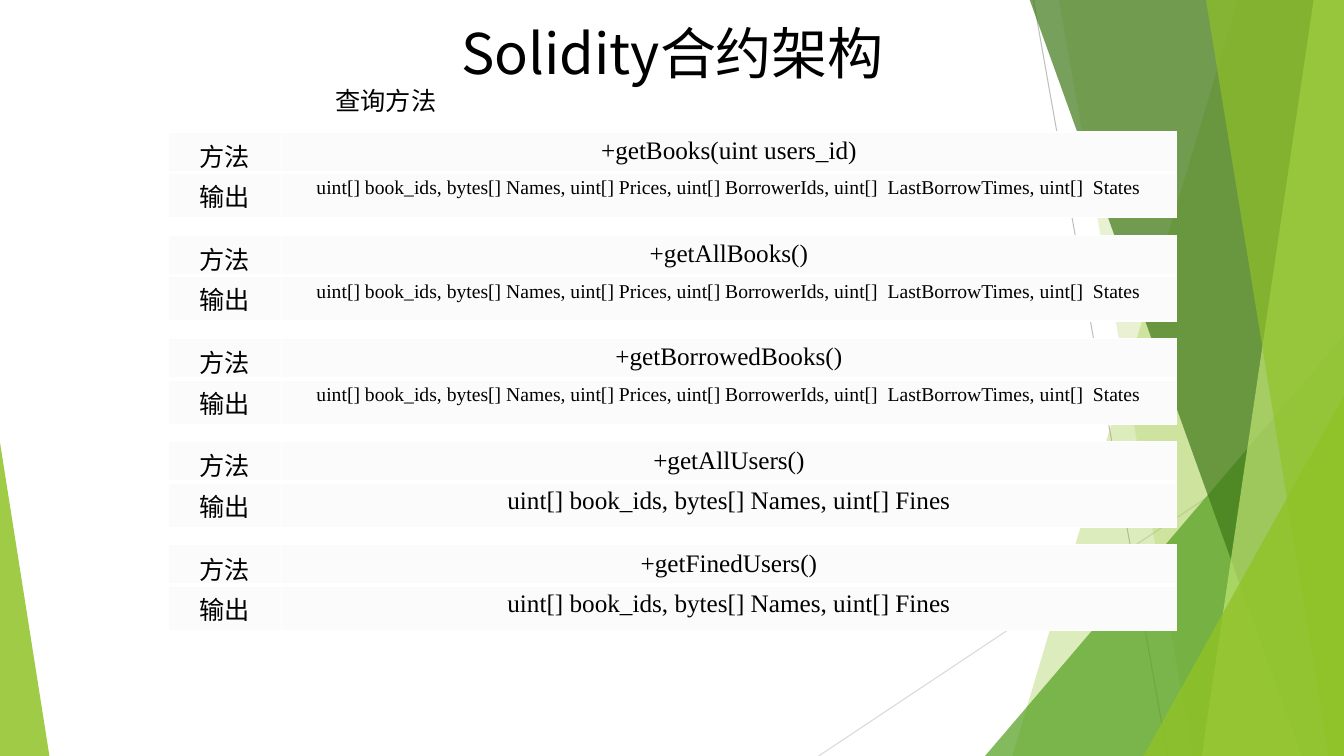
from lxml import etree
from pptx import Presentation
from pptx.dml.color import RGBColor
from pptx.enum.shapes import MSO_CONNECTOR, MSO_SHAPE
from pptx.enum.text import MSO_AUTO_SIZE, PP_ALIGN
from pptx.oxml.ns import qn
from pptx.util import Inches, Pt

STRAIGHT = MSO_CONNECTOR.STRAIGHT
TRIANGLE = MSO_SHAPE.ISOSCELES_TRIANGLE
CENTER, LEFT = PP_ALIGN.CENTER, PP_ALIGN.LEFT
WIDTH, HEIGHT = 13.33, 7.5
CJK_FONT, TABLE_FONT = "Noto Sans CJK SC", "Times New Roman"
BLACK, WHITE, CELL_FILL = "000000", "FFFFFF", "FBFBFB"

HEADING = [("Solidity合约架构", 40, CENTER), ("查询方法", 18, LEFT)]
BOOK_OUTPUT = ("uint[] book_ids, bytes[] Names, uint[] Prices, uint[] BorrowerIds, "
               "uint[]  LastBorrowTimes, uint[]  States", 14)
USER_OUTPUT = ("uint[] book_ids, bytes[] Names, uint[] Fines", 18)
METHODS = [
    ("+getBooks(uint users_id)", BOOK_OUTPUT),
    ("+getAllBooks()", BOOK_OUTPUT),
    ("+getBorrowedBooks()", BOOK_OUTPUT),
    ("+getAllUsers()", USER_OUTPUT),
    ("+getFinedUsers()", USER_OUTPUT),
]
TABLE_LEFT, TABLE_TOP, TABLE_PITCH = 1.67, 1.31, 1.0235
COLUMNS, ROWS = (1.12, 8.88), (0.4, 0.45)

THIN_LINES = [((10.25, 0), (11.58, HEIGHT), "BFBFBF"),
              ((WIDTH, 4.03), (8.12, HEIGHT), "D9D9D9")]
# Panels reach the right edge: (top left x, bottom left x, colour, opacity %)
BACK_PANELS = [(12.28, 10.04, "90C226", 30), (10.5, 11.83, "90C226", 20)]
FRONT_PANELS = [(10.21, 12.91, "3F7819", 70), (13.03, 11.92, "C0E474", 70),
                (11.96, 13.18, "90C226", 65)]
# Triangles stand on the bottom edge: (left, width, height, apex, colour, opacity %)
MIDDLE_TRIANGLE = (9.77, 3.56, 4.17, 1, "54A021", 72)
FRONT_TRIANGLES = [(11.34, 1.99, 3.57, 1, "90C226", 80),
                   (0, 0.49, 3.11, 0, "90C226", 85)]


def color(hex_value):
    return RGBColor.from_string(hex_value)


def paint(shape, hex_value, opacity):
    shape.shadow.inherit = False
    shape.line.fill.background()
    shape.fill.solid()
    shape.fill.fore_color.rgb = color(hex_value)
    tint = shape.fill._xPr.find(".//" + qn("a:srgbClr"))
    etree.SubElement(tint, qn("a:alpha"), val=str(opacity * 1000))


def add_panel(slide, top_x, bottom_x, hex_value, opacity):
    corners = [(top_x, -0.01), (WIDTH, -0.01), (WIDTH, HEIGHT), (bottom_x, HEIGHT)]
    points = [(Inches(x), Inches(y)) for x, y in corners]
    builder = slide.shapes.build_freeform(*points[0])
    builder.add_line_segments(points[1:], close=True)
    paint(builder.convert_to_shape(), hex_value, opacity)


def add_triangle(slide, left, width, height, apex, hex_value, opacity):
    shape = slide.shapes.add_shape(TRIANGLE, Inches(left), Inches(HEIGHT - height),
                                   Inches(width), Inches(height))
    shape.adjustments[0] = apex
    paint(shape, hex_value, opacity)


def add_thin_line(slide, start, end, hex_value):
    line = slide.shapes.add_connector(STRAIGHT, *map(Inches, start + end))
    line.line.color.rgb = color(hex_value)
    line.line.width = Pt(0.75)
    etree.SubElement(line._element.spPr, qn("a:effectLst"))


def write(paragraph, text, size, font, alignment):
    paragraph.alignment = alignment
    run = paragraph.add_run()
    run.text = text
    run.font.size = Pt(size)
    run.font.name = font
    run.font.color.rgb = color(BLACK)
    if font == CJK_FONT:
        etree.SubElement(run._r.get_or_add_rPr(), qn("a:ea"), typeface=font)


def set_borders(cell, bottom_width):
    properties = cell._tc.get_or_add_tcPr()
    for index, side in enumerate(("lnL", "lnR", "lnT", "lnB")):
        width = bottom_width if side == "lnB" else 1
        border = etree.Element(qn("a:" + side), w=str(Pt(width)))
        fill = etree.SubElement(border, qn("a:solidFill"))
        etree.SubElement(fill, qn("a:srgbClr"), val=WHITE)
        properties.insert(index, border)


def add_heading(slide):
    box = slide.shapes.add_textbox(Inches(3.23), Inches(0.13), Inches(6.88), Inches(1.11))
    frame = box.text_frame
    frame.word_wrap = True
    frame.auto_size = MSO_AUTO_SIZE.SHAPE_TO_FIT_TEXT
    for index, (text, size, alignment) in enumerate(HEADING):
        paragraph = frame.add_paragraph() if index else frame.paragraphs[0]
        write(paragraph, text, size, CJK_FONT, alignment)


def add_method_table(slide, top, method, output):
    table = slide.shapes.add_table(len(ROWS), len(COLUMNS), Inches(TABLE_LEFT), Inches(top),
                                   Inches(sum(COLUMNS)), Inches(sum(ROWS))).table
    for column, width in zip(table.columns, COLUMNS):
        column.width = Inches(width)
    for row, height in zip(table.rows, ROWS):
        row.height = Inches(height)
    content = [[("方法", 18), (method, 18)], [("输出", 18), output]]
    for row_index, row in enumerate(content):
        for column_index, (text, size) in enumerate(row):
            cell = table.cell(row_index, column_index)
            cell.fill.solid()
            cell.fill.fore_color.rgb = color(CELL_FILL)
            set_borders(cell, 1 if row_index else 3)
            write(cell.text_frame.paragraphs[0], text, size, TABLE_FONT, CENTER)


def main():
    presentation = Presentation()
    presentation.slide_width, presentation.slide_height = Inches(WIDTH), Inches(HEIGHT)
    slide = presentation.slides.add_slide(presentation.slide_layouts[6])
    for line in THIN_LINES:
        add_thin_line(slide, *line)
    for panel in BACK_PANELS:
        add_panel(slide, *panel)
    add_triangle(slide, *MIDDLE_TRIANGLE)
    for panel in FRONT_PANELS:
        add_panel(slide, *panel)
    for triangle in FRONT_TRIANGLES:
        add_triangle(slide, *triangle)
    add_heading(slide)
    for index, (method, output) in enumerate(METHODS):
        add_method_table(slide, TABLE_TOP + index * TABLE_PITCH, method, output)
    presentation.save("out.pptx")


if __name__ == "__main__":
    main()
